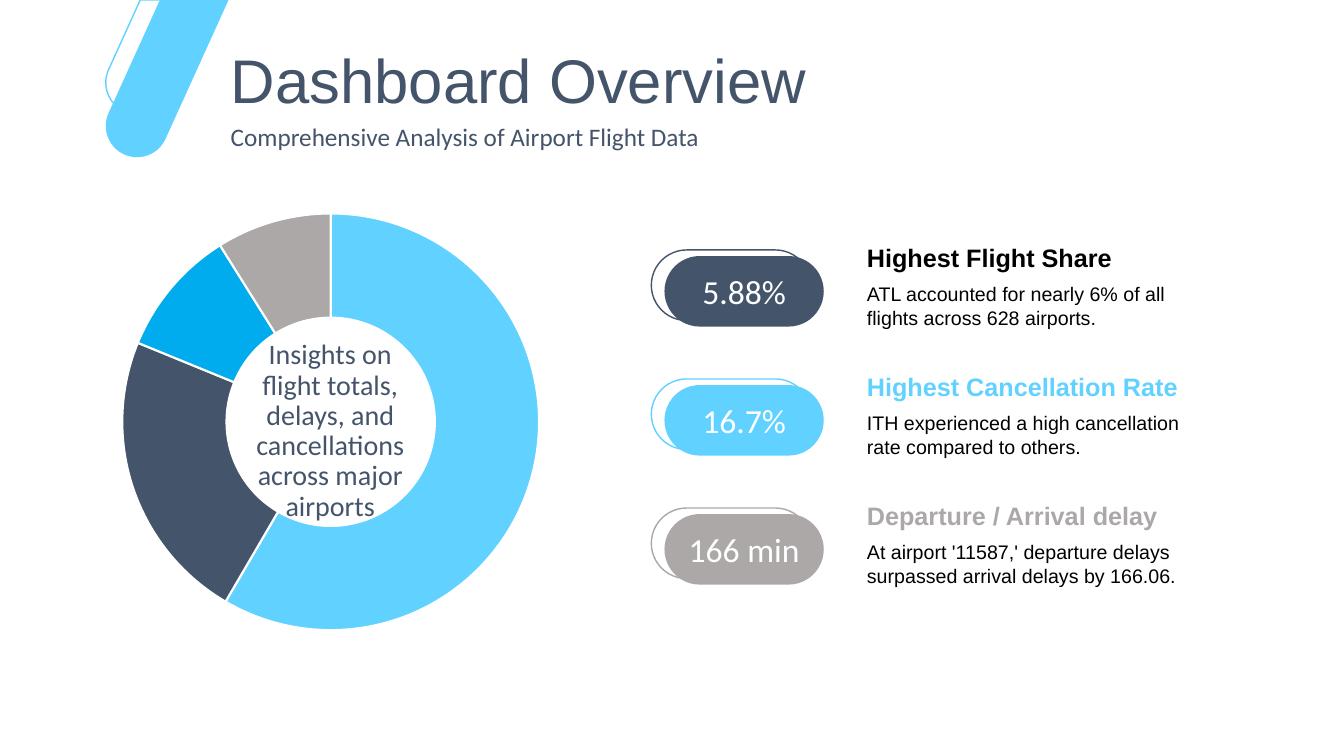
from math import cos, pi, radians, sin, tan

from pptx import Presentation
from pptx.chart.data import CategoryChartData
from pptx.dml.color import RGBColor
from pptx.enum.chart import XL_CHART_TYPE
from pptx.enum.shapes import MSO_SHAPE
from pptx.enum.text import MSO_ANCHOR, MSO_AUTO_SIZE, PP_ALIGN
from pptx.util import Inches, Pt

SKY = RGBColor(0x61, 0xD2, 0xFF)
SLATE = RGBColor(0x44, 0x54, 0x6A)
BLUE = RGBColor(0x00, 0xAC, 0xEE)
GREY = RGBColor(0xAC, 0xA8, 0xA8)
BLACK = RGBColor(0, 0, 0)
WHITE = RGBColor(255, 255, 255)

ROWS = [
    ("5.88%", SLATE, "Highest Flight Share", BLACK,
     "ATL accounted for nearly 6% of all flights across 628 airports."),
    ("16.7%", SKY, "Highest Cancellation Rate", SKY,
     "ITH experienced a high cancellation rate compared to others."),
    ("166 min", GREY, "Departure / Arrival delay", GREY,
     "At airport '11587,' departure delays surpassed arrival delays by 166.06."),
]
ROW_TOP, ROW_PITCH = 2.22, 1.28


class Deck:
    heading_font = "Arial"
    body_font = "Calibri"

    def __init__(self, prs):
        self.s = prs.slides.add_slide(prs.slide_layouts[5])

    def set_text(self, sp, text, size, color, font, bold=False,
                 align=PP_ALIGN.LEFT, anchor=MSO_ANCHOR.TOP, spacing=1.0):
        tf = sp.text_frame
        tf.word_wrap = True
        tf.auto_size = MSO_AUTO_SIZE.NONE
        tf.vertical_anchor = anchor
        p = tf.paragraphs[0]
        p.alignment = align
        p.line_spacing = spacing
        r = p.add_run()
        r.text = text
        r.font.name = font
        r.font.size = Pt(size)
        r.font.bold = bold
        r.font.color.rgb = color

    def title(self, box, text):
        sp = self.s.shapes.title
        sp.left, sp.top, sp.width, sp.height = map(Inches, box)
        self.set_text(sp, text, 44, SLATE, self.heading_font,
                      anchor=MSO_ANCHOR.MIDDLE, spacing=0.9)

    def text(self, shapes, box, text, size, color, font, **style):
        sp = shapes.add_textbox(*map(Inches, box))
        self.set_text(sp, text, size, color, font, **style)

    def paint(self, sp, fill=None, line=None):
        sp.shadow.inherit = False
        if fill is None:
            sp.fill.background()
        else:
            sp.fill.solid()
            sp.fill.fore_color.rgb = fill
        if line is None:
            sp.line.fill.background()
        else:
            sp.line.color.rgb = line
            sp.line.width = Pt(1)

    def slanted_bar(self, cx, cy, radius, degrees, **paint):
        tilt = radians(degrees)
        arc = [(cx + radius * cos(tilt + pi * i / 40),
                cy + radius * sin(tilt + pi * i / 40)) for i in range(41)]
        ends = [(x + y * tan(tilt), 0) for x, y in (arc[0], arc[-1])]
        points = [(Inches(x), Inches(y)) for x, y in [ends[0], *arc, ends[1]]]
        builder = self.s.shapes.build_freeform(*points[0])
        builder.add_line_segments(points[1:], close=True)
        self.paint(builder.convert_to_shape(), **paint)

    def pill(self, shapes, left, top, **paint):
        sp = shapes.add_shape(MSO_SHAPE.ROUNDED_RECTANGLE, Inches(left),
                              Inches(top), Inches(1.58), Inches(0.7))
        sp.adjustments[0] = 0.5
        self.paint(sp, **paint)
        return sp

    def metric(self, top, value, color, heading, heading_color, detail):
        shapes = self.s.shapes.add_group_shape().shapes
        self.pill(shapes, 6.46, top + 0.26, line=color)
        sp = self.pill(shapes, 6.59, top + 0.32, fill=color)
        self.set_text(sp, value, 24, WHITE, self.body_font,
                      align=PP_ALIGN.CENTER, anchor=MSO_ANCHOR.MIDDLE)
        self.text(shapes, (8.5, top, 3.33, 0.53), heading, 18, heading_color,
                  self.heading_font, bold=True, anchor=MSO_ANCHOR.BOTTOM)
        self.text(shapes, (8.5, top + 0.53, 3.68, 0.75), detail, 14, BLACK,
                  self.heading_font)

    def doughnut(self, box, values, colors):
        data = CategoryChartData()
        data.categories = [str(i + 1) for i in range(len(values))]
        data.add_series("Series 1", values)
        chart = self.s.shapes.add_chart(
            XL_CHART_TYPE.DOUGHNUT, *map(Inches, box), data).chart
        chart.has_legend = False
        chart.has_title = False
        chart.font.name = self.body_font
        chart.font.size = Pt(10)
        chart.font.color.rgb = BLACK
        plot = chart.plots[0]
        plot.vary_by_categories = True
        for hole in chart.element.xpath(".//c:holeSize"):
            hole.set("val", "75")
        for i, color in enumerate(colors):
            fmt = plot.series[0].points[i].format
            fmt.fill.solid()
            fmt.fill.fore_color.rgb = color
            fmt.line.color.rgb = WHITE
            fmt.line.width = Pt(1.5)


def main():
    prs = Presentation()
    prs.slide_width, prs.slide_height = Inches(13.33), Inches(7.5)
    deck = Deck(prs)
    shapes = deck.s.shapes
    deck.slanted_bar(1.36, 1.25, 0.31, 24.4, fill=SKY)
    deck.slanted_bar(1.36, 0.82, 0.31, 24.4, line=SKY)
    deck.title((2.19, 0.5, 7.09, 0.65), "Dashboard Overview")
    deck.text(shapes, (2.19, 1.15, 7.09, 0.7),
              "Comprehensive Analysis of Airport Flight Data",
              18, SLATE, deck.body_font)
    deck.doughnut((0, 1.98, 6.56, 4.41), (59, 23, 10, 9),
                  (SKY, SLATE, BLUE, GREY))
    deck.text(shapes, (2.33, 3.33, 1.89, 1.18),
              "Insights on flight totals, delays, and cancellations "
              "across major airports",
              20, SLATE, deck.body_font, align=PP_ALIGN.CENTER, spacing=0.9)
    for i, row in enumerate(ROWS):
        deck.metric(ROW_TOP + i * ROW_PITCH, *row)
    prs.save("out.pptx")


if __name__ == "__main__":
    main()
